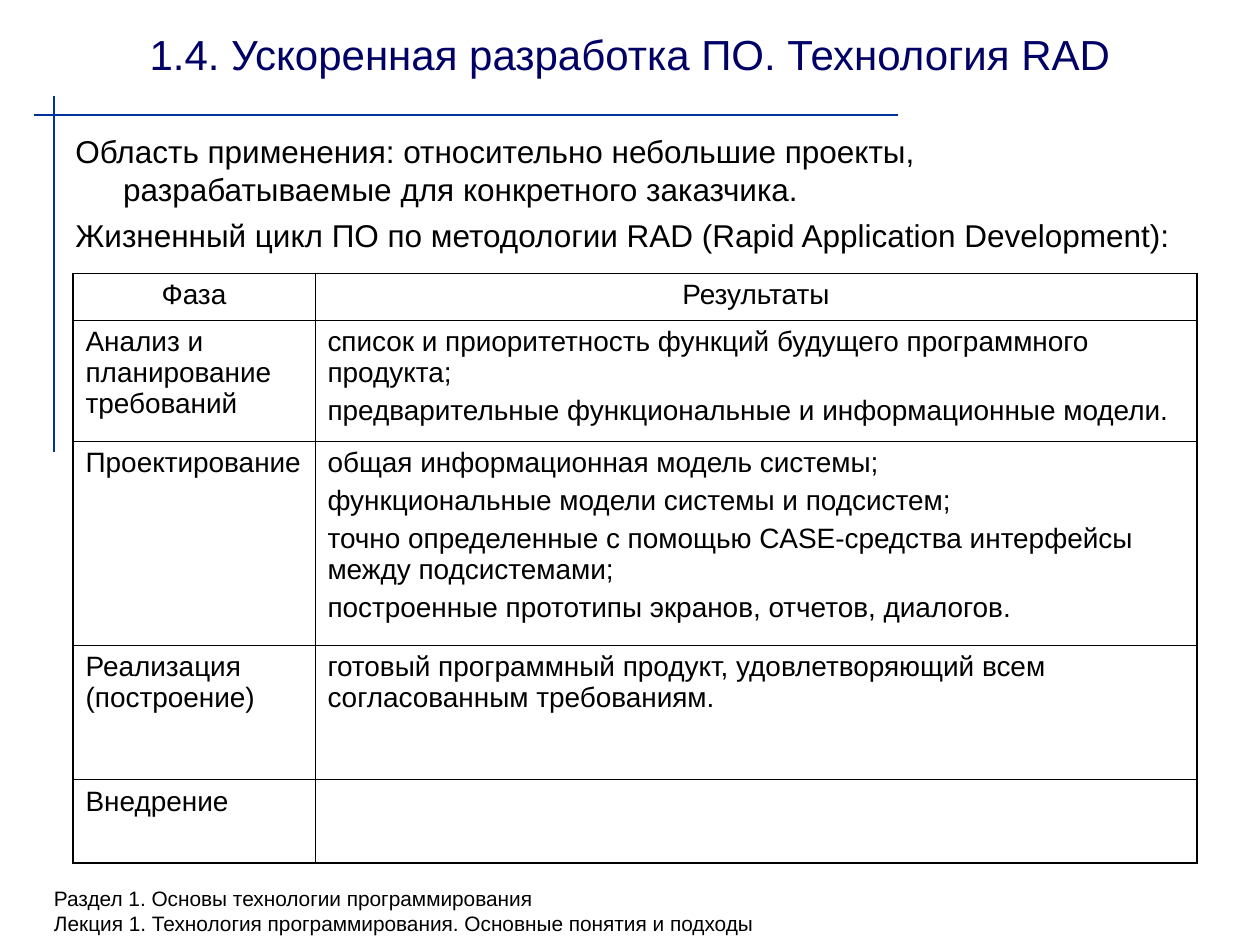
from dataclasses import dataclass

from lxml.etree import SubElement
from pptx import Presentation
from pptx.dml.color import RGBColor
from pptx.enum.shapes import MSO_CONNECTOR
from pptx.enum.text import MSO_ANCHOR as Anchor, PP_ALIGN as Align
from pptx.oxml.ns import qn
from pptx.slide import Slide
from pptx.util import Emu, Inches, Pt

FONT = "Arial"
BLACK, NAVY, BLUE = "000000", "000066", "003399"
THIN, THICK = 0.45, 1.08
GRID_COLUMNS, GRID_ROWS = 100, 75
SLIDE_WIDTH, SLIDE_HEIGHT = Inches(10), Inches(7.5)


@dataclass(frozen=True)
class Rule:
    """A decorative line between two grid points."""
    start: tuple[float, float]
    end: tuple[float, float]


@dataclass(frozen=True)
class TextStyle:
    size: float
    color: str = BLACK
    align: Align = Align.LEFT
    space_before: float = 0
    hanging: float = 0


@dataclass(frozen=True)
class TextBlock:
    area: tuple[float, float, float, float]
    lines: tuple[str, ...]
    style: TextStyle
    anchor: Anchor = Anchor.TOP


@dataclass(frozen=True)
class Phase:
    name: str
    results: tuple[str, ...]
    height: float


RULES = (
    Rule((2.7, 9.1), (71.3, 9.1)),
    Rule((4.3, 7.6), (4.3, 35.9)),
)

TEXT_BLOCKS = (
    TextBlock((3.3, 69.8, 90.8, 5.2), (
        "Раздел 1. Основы технологии программирования",
        "Лекция 1. Технология программирования. Основные понятия и подходы",
    ), TextStyle(11.9)),
    TextBlock((5, 0.8, 90, 6.9), ("1.4. Ускоренная разработка ПО. Технология RAD",),
              TextStyle(24, NAVY, Align.CENTER), Anchor.MIDDLE),
    TextBlock((5, 10, 90, 11.7), (
        "Область применения: относительно небольшие проекты, "
        "разрабатываемые для конкретного заказчика.",
        "Жизненный цикл ПО по методологии RAD (Rapid Application Development):",
    ), TextStyle(18, space_before=4.5, hanging=3.8)),
)

TABLE_LEFT, TABLE_TOP = 5.8, 21.7
TABLE_COLUMNS = (19.2, 70)
HEADER_STYLE = TextStyle(16, align=Align.CENTER, space_before=4)
CELL_STYLE = TextStyle(16, space_before=4)
PHASES = (
    Phase("Фаза", ("Результаты",), 3.7),
    Phase("Анализ и планирование требований", (
        "список и приоритетность функций будущего программного продукта;",
        "предварительные функциональные и информационные модели.",
    ), 9.6),
    Phase("Проектирование", (
        "общая информационная модель системы;",
        "функциональные модели системы и подсистем;",
        "точно определенные с помощью CASE-средства интерфейсы между подсистемами;",
        "построенные прототипы экранов, отчетов, диалогов.",
    ), 16.2),
    Phase("Реализация (построение)", (
        "готовый программный продукт, удовлетворяющий всем согласованным требованиям.",
    ), 10.7),
    Phase("Внедрение", (), 6.6),
)


def across(columns: float) -> Emu:
    return Emu(round(SLIDE_WIDTH * columns / GRID_COLUMNS))


def down(rows: float) -> Emu:
    return Emu(round(SLIDE_HEIGHT * rows / GRID_ROWS))


def rgb(value: str) -> RGBColor:
    return RGBColor.from_string(value)


def write_text(frame, lines: tuple[str, ...], style: TextStyle) -> None:
    frame.word_wrap = True
    frame.text = "\n".join(lines)
    for paragraph in frame.paragraphs:
        paragraph.alignment = style.align
        paragraph.space_before = Pt(style.space_before)
        if style.hanging:
            properties = paragraph._p.get_or_add_pPr()
            properties.set("marL", str(across(style.hanging)))
            properties.set("indent", str(-across(style.hanging)))
        for run in paragraph.runs:
            run.font.name = FONT
            run.font.size = Pt(style.size)
            run.font.color.rgb = rgb(style.color)


def draw_rule(slide: Slide, rule: Rule) -> None:
    (x1, y1), (x2, y2) = rule.start, rule.end
    line = slide.shapes.add_connector(
        MSO_CONNECTOR.STRAIGHT, across(x1), down(y1), across(x2), down(y2))
    line.line.color.rgb = rgb(BLUE)
    line.line.width = Pt(1)
    SubElement(line._element.spPr, qn("a:effectLst"))


def draw_text(slide: Slide, block: TextBlock) -> None:
    left, top, width, height = block.area
    box = slide.shapes.add_textbox(across(left), down(top), across(width), down(height))
    box.text_frame.vertical_anchor = block.anchor
    write_text(box.text_frame, block.lines, block.style)


def set_borders(cell, widths: dict[str, float]) -> None:
    """Add the border lines, which must come before the cell's fill."""
    properties = cell._tc.get_or_add_tcPr()
    for side, width in widths.items():
        border = SubElement(properties, qn(f"a:ln{side}"), w=str(Pt(width)))
        fill = SubElement(border, qn("a:solidFill"))
        SubElement(fill, qn("a:srgbClr"), val=BLACK)


def draw_phase_table(slide: Slide) -> None:
    last_row, last_column = len(PHASES) - 1, len(TABLE_COLUMNS) - 1
    table = slide.shapes.add_table(
        len(PHASES), len(TABLE_COLUMNS), across(TABLE_LEFT), down(TABLE_TOP),
        across(sum(TABLE_COLUMNS)), down(sum(phase.height for phase in PHASES))).table
    table.first_row = table.horz_banding = False
    for column, width in zip(table.columns, TABLE_COLUMNS):
        column.width = across(width)
    for row, phase in enumerate(PHASES):
        table.rows[row].height = down(phase.height)
        for column, lines in enumerate(((phase.name,), phase.results)):
            cell = table.cell(row, column)
            outer = {"L": column == 0, "R": column == last_column,
                     "T": row == 0, "B": row == last_row}
            set_borders(cell, {side: THICK if edge else THIN for side, edge in outer.items()})
            cell.fill.background()
            if lines:
                write_text(cell.text_frame, lines, CELL_STYLE if row else HEADER_STYLE)


def main() -> None:
    presentation = Presentation()
    presentation.slide_width, presentation.slide_height = SLIDE_WIDTH, SLIDE_HEIGHT
    slide = presentation.slides.add_slide(presentation.slide_layouts[6])
    for rule in RULES:
        draw_rule(slide, rule)
    for block in TEXT_BLOCKS:
        draw_text(slide, block)
    draw_phase_table(slide)
    presentation.save("out.pptx")


if __name__ == "__main__":
    main()
